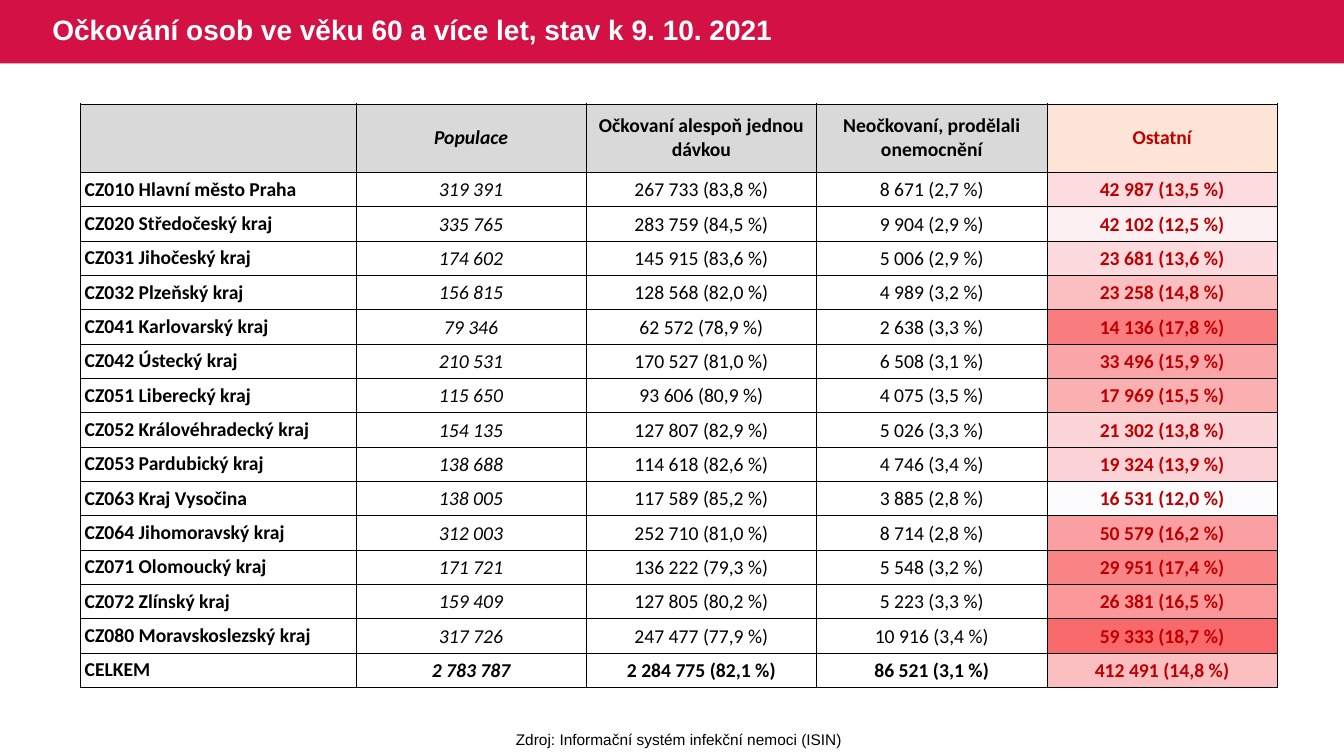
from pptx import Presentation
from pptx.dml.color import RGBColor
from pptx.enum import shapes, text
from pptx.oxml import parse_xml
from pptx.oxml.ns import nsdecls, qn
from pptx.util import Inches, Pt

HUES = {"band": "D31145", "white": "FFFFFF", "black": "000000", "red": "C00000",
        "head": "D9D9D9", "peach": "FCE4D6"}
RGB = {name: RGBColor.from_string(code) for name, code in HUES.items()}
PLAIN = "{2D5ABB26-0587-4C30-8999-92F81FD0307C}"  # table style without grid

HEADS = ["", "Populace", "Očkovaní alespoň jednou dávkou",
         "Neočkovaní, prodělali onemocnění", "Ostatní"]
ROWS = [
    ("CZ010 Hlavní město Praha", "319 391", "267 733 (83,8 %)", "8 671 (2,7 %)", "42 987 (13,5 %)"),
    ("CZ020 Středočeský kraj", "335 765", "283 759 (84,5 %)", "9 904 (2,9 %)", "42 102 (12,5 %)"),
    ("CZ031 Jihočeský kraj", "174 602", "145 915 (83,6 %)", "5 006 (2,9 %)", "23 681 (13,6 %)"),
    ("CZ032 Plzeňský kraj", "156 815", "128 568 (82,0 %)", "4 989 (3,2 %)", "23 258 (14,8 %)"),
    ("CZ041 Karlovarský kraj", "79 346", "62 572 (78,9 %)", "2 638 (3,3 %)", "14 136 (17,8 %)"),
    ("CZ042 Ústecký kraj", "210 531", "170 527 (81,0 %)", "6 508 (3,1 %)", "33 496 (15,9 %)"),
    ("CZ051 Liberecký kraj", "115 650", "93 606 (80,9 %)", "4 075 (3,5 %)", "17 969 (15,5 %)"),
    ("CZ052 Královéhradecký kraj", "154 135", "127 807 (82,9 %)", "5 026 (3,3 %)", "21 302 (13,8 %)"),
    ("CZ053 Pardubický kraj", "138 688", "114 618 (82,6 %)", "4 746 (3,4 %)", "19 324 (13,9 %)"),
    ("CZ063 Kraj Vysočina", "138 005", "117 589 (85,2 %)", "3 885 (2,8 %)", "16 531 (12,0 %)"),
    ("CZ064 Jihomoravský kraj", "312 003", "252 710 (81,0 %)", "8 714 (2,8 %)", "50 579 (16,2 %)"),
    ("CZ071 Olomoucký kraj", "171 721", "136 222 (79,3 %)", "5 548 (3,2 %)", "29 951 (17,4 %)"),
    ("CZ072 Zlínský kraj", "159 409", "127 805 (80,2 %)", "5 223 (3,3 %)", "26 381 (16,5 %)"),
    ("CZ080 Moravskoslezský kraj", "317 726", "247 477 (77,9 %)", "10 916 (3,4 %)", "59 333 (18,7 %)"),
    ("CELKEM", "2 783 787", "2 284 775 (82,1 %)", "86 521 (3,1 %)", "412 491 (14,8 %)"),
]
# Tint of the last column, one per row
TINTS = ("FCDCDF FCF0F3 FCDADD FBBEC1 F97D7F FAA6A9 FAAFB1 FBD5D7 "
         "FBD2D5 FCFCFF FAA0A2 F98486 FA989A F8696B FBBEC1").split()
HUES.update(zip((row[0] for row in ROWS), TINTS))


def style(para, face, size, hue, bold=False, slant=False):
    font = para.font
    font.name, font.size, font.bold, font.italic = face, Pt(size), bold, slant
    font.color.rgb = RGB[hue]


def add_grid(rows, cols, left, top, width, height):
    grid = slide.shapes.add_table(rows, cols, Inches(left), Inches(top),
                                  Inches(width), Inches(height)).table
    grid.first_row = grid.horz_banding = False
    grid._tbl.tblPr.find(qn("a:tableStyleId")).text = PLAIN
    return grid


deck = Presentation()
deck.slide_width, deck.slide_height = Inches(13.33), Inches(7.5)
slide = deck.slides.add_slide(deck.slide_layouts[6])

# Title band
band = slide.shapes.add_shape(shapes.MSO_SHAPE.RECTANGLE, 0, 0, deck.slide_width, Inches(0.63))
band.shadow.inherit = False
band.fill.solid()
band.fill.fore_color.rgb = RGB["band"]
band.line.fill.background()

# Colour scale behind the last column
heat = add_grid(len(ROWS), 1, 10.39, 1.72, 2.28, 5.1)
for r, row in enumerate(ROWS):
    heat.rows[r].height = Inches(5.1 / len(ROWS))
    cell = heat.cell(r, 0)
    cell.margin_top = cell.margin_bottom = 0
    cell.text_frame.paragraphs[0].font.size = Pt(14)
    cell.fill.solid()
    cell.fill.fore_color.rgb = RGBColor.from_string(HUES[row[0]])

# Title
title = slide.shapes.add_textbox(Inches(0.42), 0, Inches(8.28), Inches(0.63)).text_frame
title.word_wrap = True
title.vertical_anchor = text.MSO_ANCHOR.MIDDLE
title.text = "Očkování osob ve věku 60 a více let, stav k 9. 10. 2021"
title.paragraphs[0].line_spacing = 0.9
style(title.paragraphs[0], "Arial", 20, "white", bold=True)

# Table grid
grid = add_grid(len(ROWS) + 1, len(HEADS), 0.8, 1.03, 11.87, 5.79)
grid.first_row = True
for c, col in enumerate(grid.columns):
    col.width = Inches((11.87 - 2.73) / 4 if c else 2.73)
for r, row in enumerate(grid.rows):
    row.height = Inches((5.79 - 0.68) / len(ROWS) if r else 0.68)

# Cells
for r, row in enumerate([HEADS] + ROWS):
    for c, label in enumerate(row):
        cell = grid.cell(r, c)
        last = c == len(HEADS) - 1
        inner = r > 0 and c > 0
        cell.text = label
        cell.vertical_anchor = text.MSO_ANCHOR.MIDDLE
        cell.margin_left = cell.margin_right = Inches(0.01 if inner else 0.04)
        cell.margin_top = Inches(0.01 if inner else 0)
        cell.margin_bottom = 0
        para = cell.text_frame.paragraphs[0]
        if r == 0 or c > 0:
            para.alignment = text.PP_ALIGN.CENTER
        bold = r in (0, len(ROWS)) or c == 0 or last
        style(para, "Calibri", 14, "red" if last else "black", bold, c == 1)

        for side in ("lnL", "lnR", "lnT", "lnB"):
            cell._tc.get_or_add_tcPr().append(parse_xml(
                f'<a:{side} {nsdecls("a")} w="{Pt(0.5)}"><a:solidFill>'
                f'<a:srgbClr val="{HUES["black"]}"/></a:solidFill></a:{side}>'))

        if r:
            cell.fill.background()
        else:
            cell.fill.solid()
            cell.fill.fore_color.rgb = RGB["peach" if last else "head"]

# Source line
note = slide.shapes.add_textbox(Inches(5.01), Inches(7.19), Inches(3.45), Inches(0.29)).text_frame
note.word_wrap = False
note.auto_size = text.MSO_AUTO_SIZE.SHAPE_TO_FIT_TEXT
note.text = "Zdroj: Informační systém infekční nemoci (ISIN)"
note.paragraphs[0].alignment = text.PP_ALIGN.CENTER
style(note.paragraphs[0], "Arial", 11, "black")

deck.save("out.pptx")
